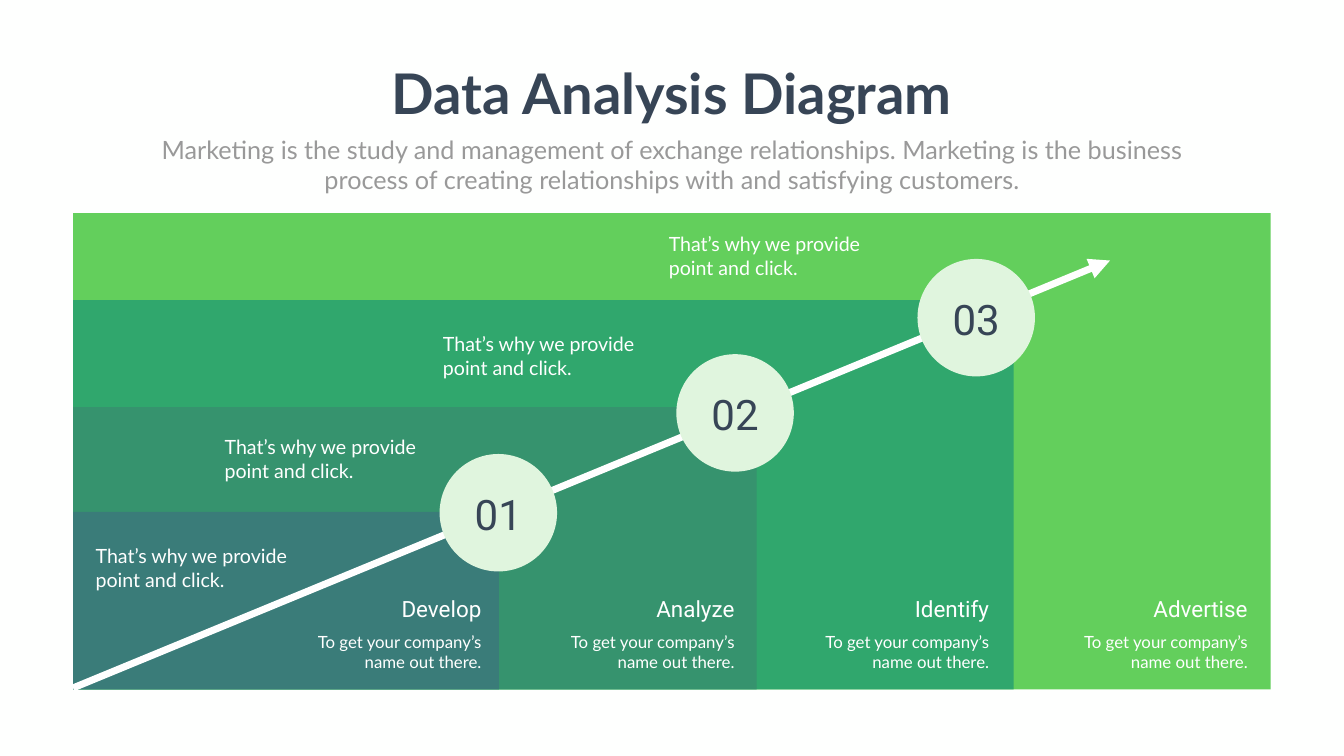
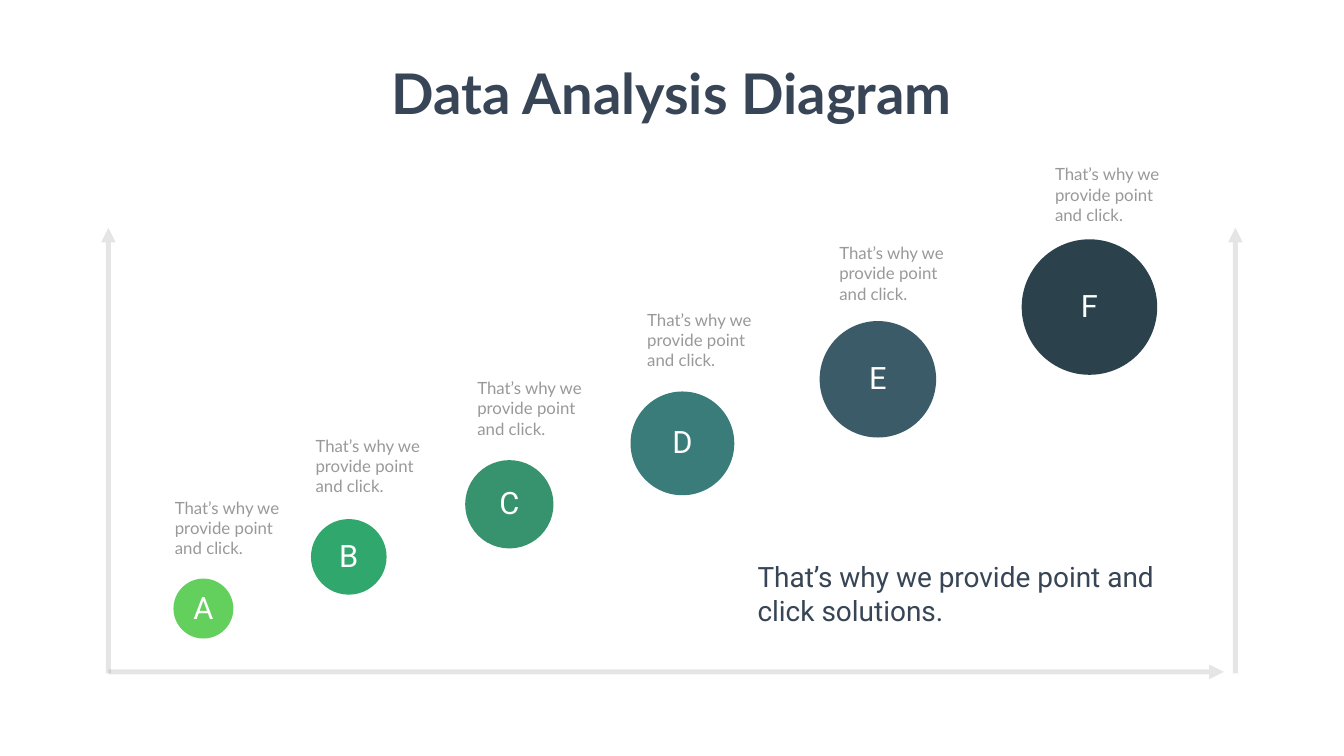
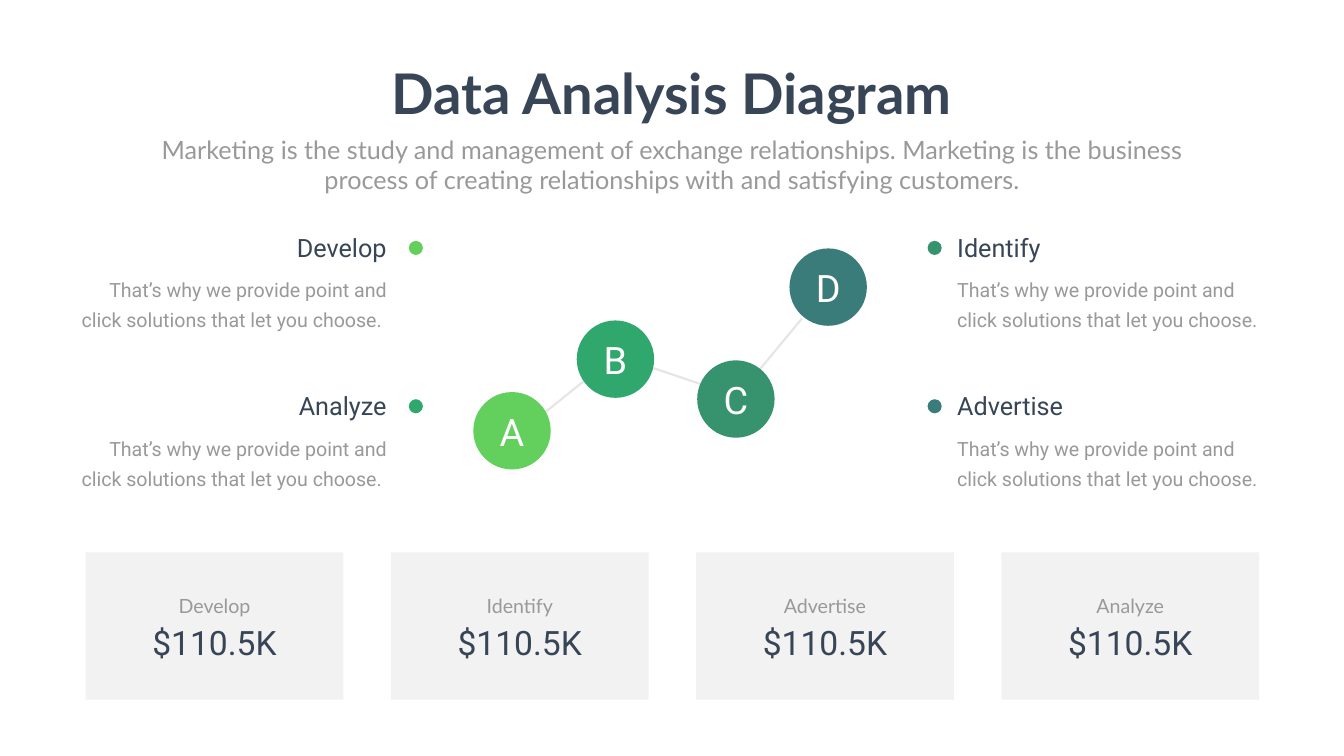
from pptx import Presentation
from pptx.dml.color import RGBColor
from pptx.enum.shapes import MSO_CONNECTOR, MSO_SHAPE
from pptx.enum.text import MSO_AUTO_SIZE, PP_ALIGN
from pptx.oxml.ns import qn
from pptx.util import Cm, Pt
from lxml import etree

LEFT, CENTER, RIGHT = PP_ALIGN.LEFT, PP_ALIGN.CENTER, PP_ALIGN.RIGHT
RECT, OVAL = MSO_SHAPE.RECTANGLE, MSO_SHAPE.OVAL
STRAIGHT = MSO_CONNECTOR.STRAIGHT
FIT = MSO_AUTO_SIZE.SHAPE_TO_FIT_TEXT

LATO, ROBOTO = "Lato", "Roboto"
PAPER, WHITE, NAVY, GRAY, RULE = "FEFFFE", "FFFFFF", "374556", "999999", "808080"
MINT = "E0F5DE"
GREENS = ["63CF5C", "30A76D", "36936E", "3A7C79", "3B5B69", "2B424D"]

TITLE = "Data Analysis Diagram"
SUBTITLE = ("Marketing is the study and management of exchange relationships. "
            "Marketing is the business process of creating relationships with "
            "and satisfying customers.")
NOTE = "That’s why we provide point and click."
CAPTION = "To get your company’s name out there."
STATEMENT = "That’s why we provide point and click solutions."
DETAIL = "That’s why we provide point and click solutions that let you choose."


def rgb(color):
    return RGBColor.from_string(color)


def fade(shape, percent):
    """Make the fill and line colours of a shape partly transparent."""
    for clr in shape._element.spPr.iter(qn("a:srgbClr")):
        etree.SubElement(clr, qn("a:alpha"), val=str(percent * 1000))


def add_text(s, text, x, y, w, h, size=28, font=LATO, color=WHITE, align=LEFT,
             bold=False, wrap=True, spacing=None):
    tf = s.shapes.add_textbox(Cm(x), Cm(y), Cm(w), Cm(h)).text_frame
    tf.word_wrap = wrap
    tf.auto_size = FIT
    p = tf.paragraphs[0]
    p.alignment = align
    if spacing:
        p.line_spacing = Pt(spacing)
    r = p.add_run()
    r.text = text
    r.font.name, r.font.size, r.font.bold = font, Pt(size), bold
    r.font.color.rgb = rgb(color)


def add_shape(s, kind, x, y, w, h, fill):
    sp = s.shapes.add_shape(kind, Cm(x), Cm(y), Cm(w), Cm(h))
    sp.shadow.inherit = False
    sp.fill.solid()
    sp.fill.fore_color.rgb = rgb(fill)
    sp.line.fill.background()
    return sp


def add_line(s, x1, y1, x2, y2, color=RULE, width=7, arrow=True, alpha=None):
    line = s.shapes.add_connector(STRAIGHT, Cm(x1), Cm(y1), Cm(x2), Cm(y2))
    line.line.color.rgb = rgb(color)
    line.line.width = Pt(width)
    if arrow:
        etree.SubElement(line.line._ln, qn("a:tailEnd"), type="triangle")
    etree.SubElement(line._element.spPr, qn("a:effectLst"))
    if alpha:
        fade(line, alpha)


def add_badge(s, text, x, y, d, fill, w, h, dy=0, **fmt):
    """Disc of diameter d with a w by h label over its centre."""
    add_shape(s, OVAL, x, y, d, d, fill)
    add_text(s, text, x + (d - w) / 2, y + (d - h) / 2 + dy, w, h,
             font=ROBOTO, align=CENTER, **fmt)


def new_slide(prs, subtitle=True):
    s = prs.slides.add_slide(prs.slide_layouts[6])
    s.background.fill.solid()
    s.background.fill.fore_color.rgb = rgb(PAPER)
    add_text(s, TITLE, 19.13, 2.84, 29.44, 3.68, size=80, color=NAVY,
             align=CENTER, bold=True, wrap=False)
    if subtitle:
        add_text(s, SUBTITLE, 7.42, 6.63, 52.88, 3.33, size=36, color=GRAY,
                 align=CENTER)
    return s


def nested_steps(s, x, y, w, h):
    # name, step top, step width, right edge of caption, note position
    steps = [("Advertise", 0, w, 59.44, (29.77, 0.84)),
             ("Identify", 4.39, 47.4, 46.41, (18.39, 5.87)),
             ("Analyze", 9.78, 34.44, 33.58, (7.39, 11.07)),
             ("Develop", 15.06, 21.46, 20.83, (0.89, 16.56))]
    for (_, top, width, _, _), color in zip(steps, GREENS):
        add_shape(s, RECT, x, y + top, width, h - top, color)
    add_line(s, x, y + 23.93, x + 52.25, y + 2.39, color=WHITE, width=10)
    for name, _, _, right, (note_x, note_y) in reversed(steps):
        add_text(s, CAPTION, x + right - 10.44, y + 20.96, 10.44, 2.31,
                 size=24, align=RIGHT)
        add_text(s, name, x + right - 8.69, y + 19.15, 8.69, 1.63,
                 size=32, font=ROBOTO, align=RIGHT)
        add_text(s, NOTE, x + note_x, y + note_y, 10.77, 2.64)
    milestones = [(18.47, 12.14), (30.4, 7.11), (42.55, 2.31)]
    for i, (mx, my) in enumerate(milestones, 1):
        add_badge(s, f"{i:02}", x + mx, y + my, 5.92, MINT, 3.4, 2.82,
                  dy=0.08, size=60, color=NAVY)


def growth_bubbles(s, x, y, w, h):
    add_line(s, x, y + h - 0.07, x + w - 0.58, y + h - 0.07, alpha=20)
    for axis_x in (x, x + w):
        add_line(s, axis_x, y + h, axis_x, y, alpha=20)
    # letter, bubble position and diameter, note position
    bubbles = [("A", 3.28, 17.68, 3.02, 3.1, 13.46),
               ("B", 10.21, 14.68, 3.81, 10.19, 10.34),
               ("C", 17.98, 11.71, 4.45, 18.34, 7.44),
               ("D", 26.31, 8.25, 5.23, 26.9, 4.01),
               ("E", 35.84, 4.7, 5.87, 36.58, 0.64),
               ("F", 46.02, 0.58, 6.83, 47.45, -3.33)]
    for (letter, bx, by, d, note_x, note_y), color in zip(bubbles, GREENS):
        add_badge(s, letter, x + bx, y + by, d, color, 3.4, 2.13, dy=-0.08,
                  size=44)
        add_text(s, NOTE, x + note_x, y + note_y, 6.73, 3.33, size=24,
                 color=GRAY)
    add_text(s, STATEMENT, x + 32.46, y + 16.59, 21.51, 3.68, size=40,
             font=ROBOTO, color=NAVY)


def node_chain(s, x, y):
    links = [(3.43, 8.41, 6.27, 6.12), (8.61, 5.87, 11.43, 6.83),
             (14.1, 6.5, 16.56, 3.53)]
    nodes = [("A", 0, 7.24), ("B", 5.21, 3.63), ("C", 11.28, 5.64), ("D", 15.93, 0)]
    for x1, y1, x2, y2 in links:
        add_line(s, x + x1, y + y1, x + x2, y + y2, width=3, arrow=False, alpha=20)
    for (letter, nx, ny), color in zip(nodes, GREENS):
        add_badge(s, letter, x + nx, y + ny, 3.9, color, 3.9, 2.57, dy=0.05, size=54)


def legend_item(s, x, y, name, color, align):
    w, name_w = 16.33, 11.2
    on_left = align == RIGHT
    add_shape(s, OVAL, x + (17.2 if on_left else -1.24), y + 0.56, 0.71, 0.71, color)
    add_text(s, name, x + (w - name_w if on_left else 0), y, name_w, 1.8,
             size=36, font=ROBOTO, color=NAVY, align=align)
    add_text(s, DETAIL + (" " if on_left else ""), x, y + 1.98, w, 3.18,
             font=ROBOTO, color=GRAY, align=align, spacing=43)


def value_card(s, x, y, w, h, name, value):
    fade(add_shape(s, RECT, x, y, w, h, RULE), 10)
    add_text(s, name, x + (w - 5.72) / 2, y + 1.73, 5.72, 1.6, color=GRAY,
             align=CENTER, spacing=40.8)
    add_text(s, value, x + (w - 7.49) / 2, y + 3.38, 7.49, 2.31, size=48,
             font=ROBOTO, color=NAVY, align=CENTER)


def main():
    prs = Presentation()
    prs.slide_width, prs.slide_height = Cm(67.72), Cm(38.1)

    nested_steps(new_slide(prs), 3.68, 10.74, 60.35, 24)

    growth_bubbles(new_slide(prs, subtitle=False), 5.46, 11.48, 56.79, 22.45)

    s = new_slide(prs)
    node_chain(s, 23.85, 12.52)
    for i, name in enumerate(["Develop", "Analyze", "Identify", "Advertise"]):
        column, row = divmod(i, 2)
        legend_item(s, (3.4, 47.98)[column], 11.58 + row * 7.98, name,
                    GREENS[i], (RIGHT, LEFT)[column])
    for i, name in enumerate(["Develop", "Identify", "Advertise", "Analyze"]):
        value_card(s, 4.32 + i * 15.38, 27.84, 12.98, 7.42, name, "$110.5K")

    prs.save("out.pptx")


if __name__ == "__main__":
    main()
